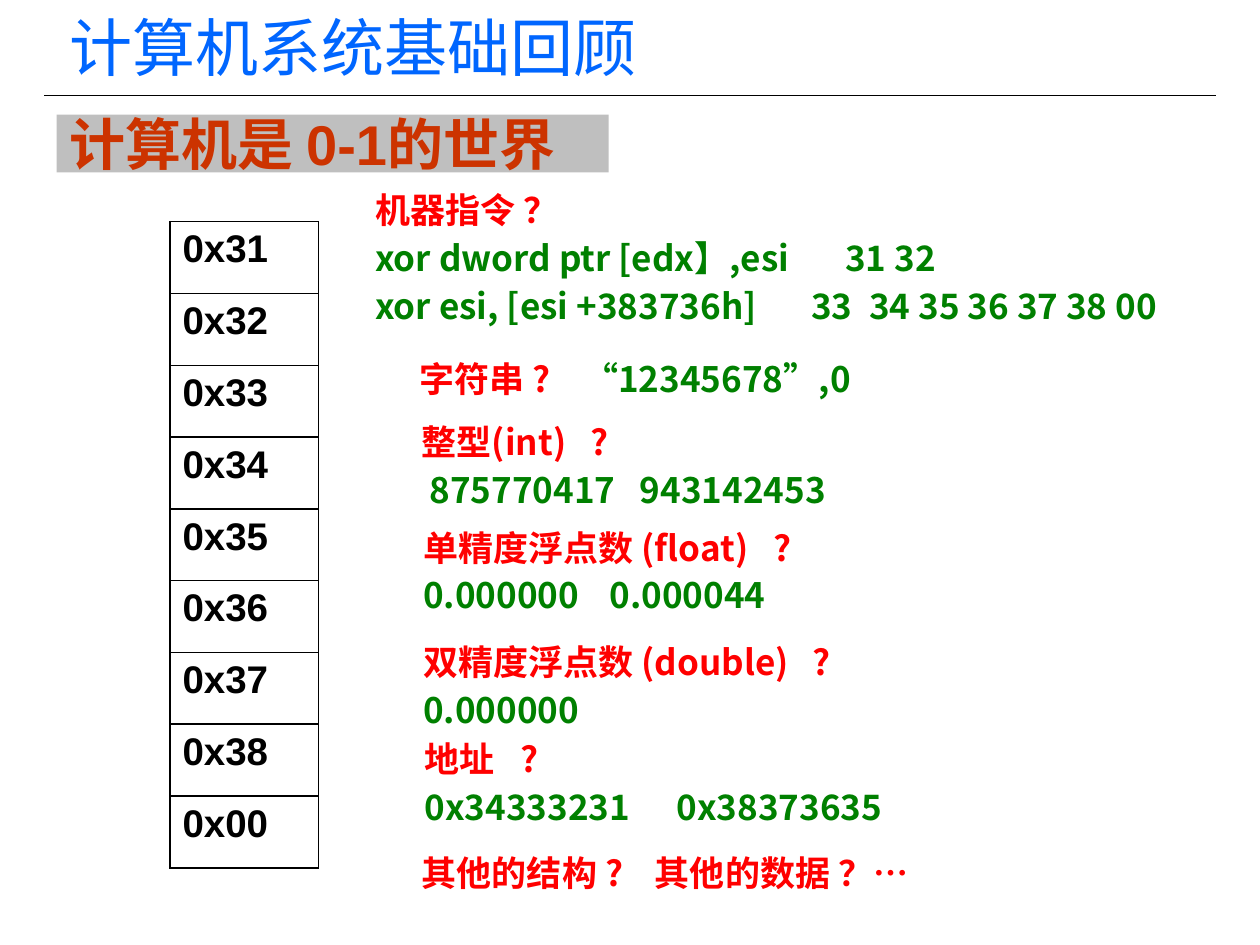
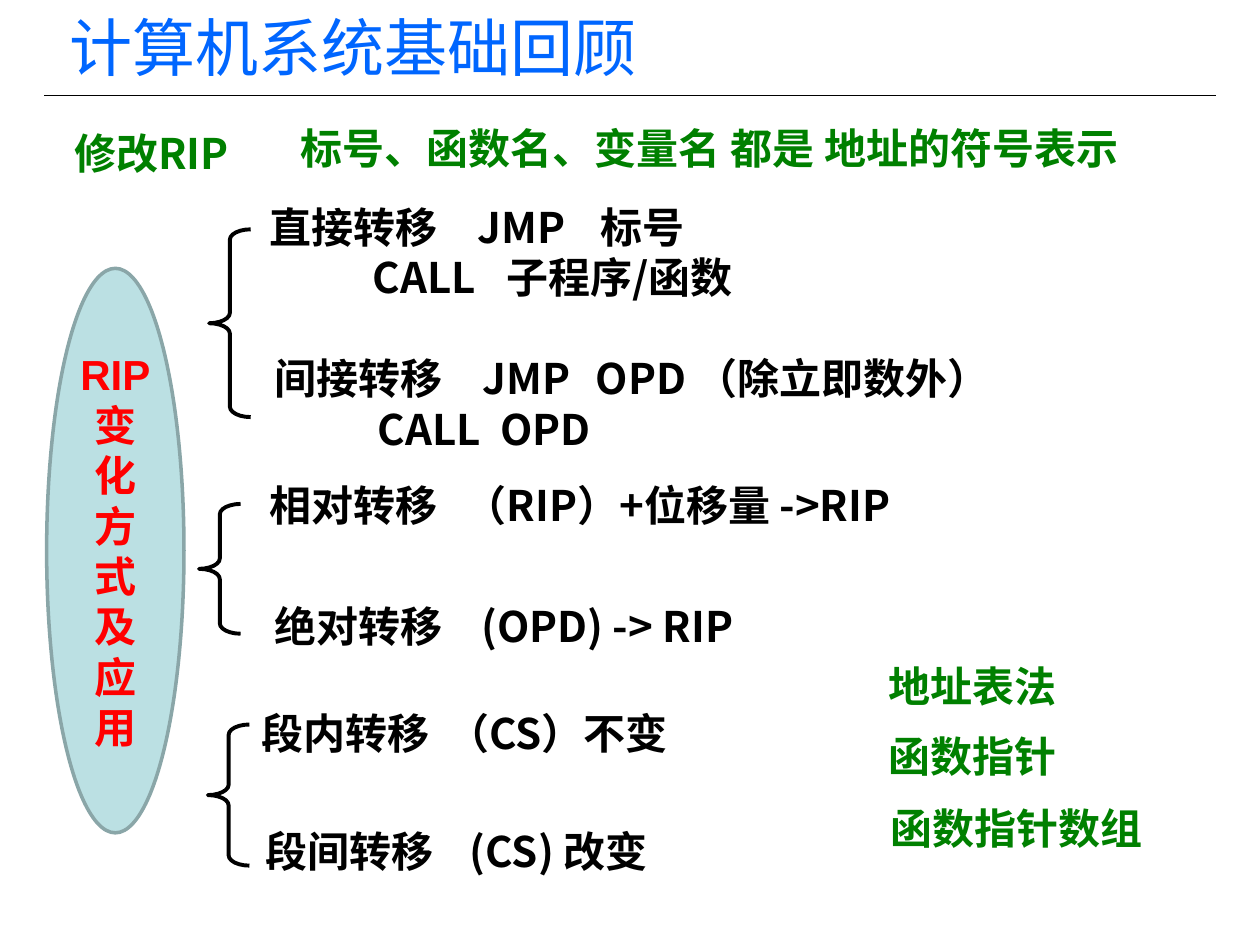
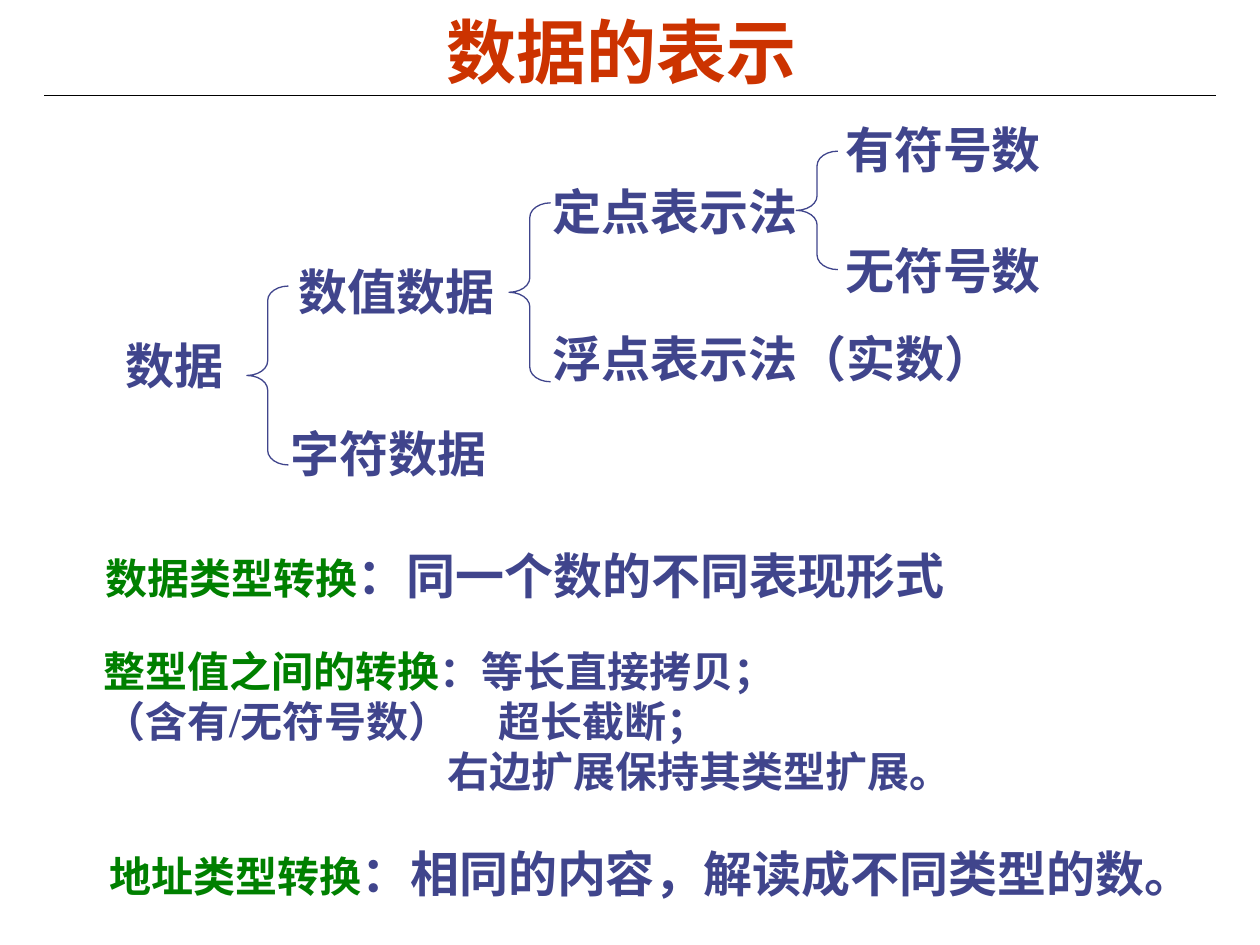
from dataclasses import dataclass
from typing import NamedTuple

from lxml import etree
from pptx import Presentation
from pptx.dml.color import RGBColor
from pptx.enum.shapes import MSO_CONNECTOR, MSO_SHAPE
from pptx.enum.text import MSO_ANCHOR, MSO_AUTO_SIZE, PP_ALIGN
from pptx.oxml.ns import qn
from pptx.util import Inches, Pt

COLORS = {
    "black": "000000",
    "white": "FFFFFF",
    "blue": "0066FF",
    "brick": "CC3300",
    "red": "FF0000",
    "green": "008000",
    "indigo": "40458C",
    "gray": "BFBFBF",
    "aqua": "BBE0E3",
    "aqua_edge": "8AA6A8",
}
SANS = "Noto Sans CJK SC"
TITLE_SANS = "Noto Sans CJK JP"
SERIF = "Times New Roman"


class Box(NamedTuple):
    left: float
    top: float
    width: float
    height: float


@dataclass(frozen=True)
class Style:
    color: str
    size: float
    font: str = SANS
    bold: bool = True


class Span(NamedTuple):
    text: str
    style: Style


@dataclass(frozen=True)
class Line:
    spans: tuple[Span, ...]
    tabs: tuple[float, ...] = ()


@dataclass(frozen=True)
class Label:
    box: Box
    lines: tuple[Line, ...]


class Brace(NamedTuple):
    box: Box
    curve: float
    color: str
    weight: float


COURSE_TITLE = Style("blue", 36, TITLE_SANS, bold=False)
TOPIC_TITLE = Style("brick", 40, "Arial")
BANNER = Style("brick", 32, "Arial")
BYTE = Style("black", 22, "Arial")
QUESTION = Style("red", 20)
ANSWER = Style("green", 20)
JUMP = Style("black", 24)
NOTE = Style("green", 24)
OVAL = Style("red", 24, "Arial")
TREE = Style("indigo", 28, SERIF)
DETAIL = Style("indigo", 24, SERIF)

COURSE_NAME = "计算机系统基础回顾"
COURSE_BOX = Box(0.45, 0.02, 5, 0.71)


def line(text: str, style: Style, *tabs: float) -> Line:
    return Line((Span(text, style),), tabs)


def rgb(name: str) -> RGBColor:
    return RGBColor.from_string(COLORS[name])


def place(shape, box: Box) -> None:
    shape.left, shape.top, shape.width, shape.height = map(Inches, box)


def write_text(frame, lines, *, align=PP_ALIGN.LEFT, anchor=MSO_ANCHOR.TOP,
               spacing=None, wrap=True, auto_size=MSO_AUTO_SIZE.NONE) -> None:
    frame.word_wrap = wrap
    frame.auto_size = auto_size
    frame.vertical_anchor = anchor
    for index, item in enumerate(lines):
        paragraph = frame.add_paragraph() if index else frame.paragraphs[0]
        add_tabs(paragraph, item.tabs)
        paragraph.alignment = align
        if spacing:
            paragraph.line_spacing = spacing
        for span in item.spans:
            add_run(paragraph, span)


def add_tabs(paragraph, positions) -> None:
    if positions:
        properties = paragraph._p.get_or_add_pPr()
        tab_list = etree.SubElement(properties, qn("a:tabLst"))
        for position in positions:
            etree.SubElement(tab_list, qn("a:tab"), pos=str(Inches(position)), algn="l")


def add_run(paragraph, span: Span) -> None:
    run = paragraph.add_run()
    run.text = span.text
    font, style = run.font, span.style
    font.size = Pt(style.size)
    font.bold = style.bold
    font.color.rgb = rgb(style.color)
    font.name = style.font
    east_asian = style.font if style.font.startswith("Noto") else SANS
    latin = run._r.get_or_add_rPr().find(qn("a:latin"))
    latin.addnext(etree.Element(qn("a:ea"), typeface=east_asian))


def add_label(slide, label: Label, *, spacing=None, wrap=True) -> None:
    text_box = slide.shapes.add_textbox(*map(Inches, label.box))
    write_text(text_box.text_frame, label.lines, spacing=spacing, wrap=wrap,
               auto_size=MSO_AUTO_SIZE.SHAPE_TO_FIT_TEXT)


def add_shape(slide, kind, box: Box, *, fill=None, outline=None, weight=1.0):
    shape = slide.shapes.add_shape(kind, *map(Inches, box))
    shape.shadow.inherit = False
    if fill:
        shape.fill.solid()
        shape.fill.fore_color.rgb = rgb(fill)
    else:
        shape.fill.background()
    if outline:
        shape.line.color.rgb = rgb(outline)
        shape.line.width = Pt(weight)
    else:
        shape.line.fill.background()
    return shape


def add_brace(slide, brace: Brace) -> None:
    shape = add_shape(slide, MSO_SHAPE.LEFT_BRACE, brace.box,
                      outline=brace.color, weight=brace.weight)
    shape.adjustments[0] = brace.curve
    shape.adjustments[1] = 0.5


def add_slide(presentation, title: str, style: Style, box: Box, **text_format):
    slide = presentation.slides.add_slide(presentation.slide_layouts[5])
    place(slide.shapes.title, box)
    write_text(slide.shapes.title.text_frame, [line(title, style)], **text_format)
    return slide


def move_rule_to_layout(slide) -> None:
    """Draw the line under the title once, on the layout shared by all slides."""
    rule = slide.shapes.add_connector(
        MSO_CONNECTOR.STRAIGHT, Inches(0.35), Inches(0.76), Inches(9.65), Inches(0.76))
    rule.line.color.rgb = rgb("black")
    rule.line.width = Pt(0.75)
    etree.SubElement(rule.element.spPr, qn("a:effectLst"))
    rule.element.nvCxnSpPr.cNvPr.set("id", "100")
    slide.slide_layout.shapes.element.append(rule.element)


def set_borders(cell, *sides: str) -> None:
    properties = cell._tc.get_or_add_tcPr()
    for index, side in enumerate(sides):
        border = etree.Element(qn(f"a:ln{side}"), w=str(Pt(1)))
        fill = etree.SubElement(border, qn("a:solidFill"))
        etree.SubElement(fill, qn("a:srgbClr"), val=COLORS["black"])
        properties.insert(index, border)


def add_memory_table(slide) -> None:
    values = [f"0x{number}" for number in range(31, 39)] + ["0x00"]
    row_height = 0.57
    frame = slide.shapes.add_table(
        len(values), 2, Inches(0.51), Inches(1.76), Inches(2.02),
        Inches(row_height * len(values)))
    table = frame.table
    table.first_row = table.horz_banding = False
    table.columns[0].width, table.columns[1].width = Inches(0.84), Inches(1.18)
    for row, value in enumerate(values):
        table.rows[row].height = Inches(row_height)
        margin_cell, byte_cell = table.cell(row, 0), table.cell(row, 1)
        for cell in (margin_cell, byte_cell):
            cell.fill.solid()
            cell.fill.fore_color.rgb = rgb("white")
        set_borders(margin_cell, "R")
        set_borders(byte_cell, "L", "R", "T", "B")
        write_text(byte_cell.text_frame, [line(value, BYTE)])


def build_memory_slide(presentation) -> None:
    slide = add_slide(presentation, COURSE_NAME, COURSE_TITLE, COURSE_BOX)
    move_rule_to_layout(slide)
    banner = add_shape(slide, MSO_SHAPE.RECTANGLE, Box(0.45, 0.91, 4.38, 0.46), fill="gray")
    write_text(banner.text_frame, [line("计算机是 0-1的世界", BANNER)],
               anchor=MSO_ANCHOR.MIDDLE)
    add_memory_table(slide)
    readings = [
        Label(Box(2.88, 1.4, 7.05, 1.22), (
            line("机器指令\t？", QUESTION, 1.18),
            line("xor dword ptr [edx】,esi\t31 32", ANSWER, 3.73),
            line("xor esi, [esi +383736h]\t33\t34 35 36 37 38 00", ANSWER, 3.46, 3.92))),
        Label(Box(3.23, 2.74, 4.72, 0.46), (
            Line((Span("字符串 ?", QUESTION), Span("\t“12345678”,0", ANSWER)), (1.3,)),)),
        Label(Box(3.25, 3.24, 4.87, 0.84), (
            line("整型(int)\t?", QUESTION, 1.34),
            line("\t875770417\t943142453", ANSWER, 0.06, 1.73))),
        Label(Box(3.26, 4.08, 4.87, 0.84), (
            line("单精度浮点数 (float)\t?", QUESTION, 2.78),
            line("0.000000\t0.000044", ANSWER, 1.48))),
        Label(Box(3.26, 4.99, 4.87, 0.84), (
            line("双精度浮点数 (double)\t?", QUESTION, 3.09),
            line("0.000000", ANSWER))),
        Label(Box(3.25, 6.66, 4.7, 0.46), (
            line("其他的结构 ?\t其他的数据 ？…", QUESTION, 1.85),)),
        Label(Box(3.27, 5.76, 4.87, 0.84), (
            line("地址\t?", QUESTION, 0.76),
            line("0x34333231\t0x38373635", ANSWER, 2.0))),
    ]
    for reading in readings:
        add_label(slide, reading, spacing=1.14)


def build_jump_slide(presentation) -> None:
    slide = add_slide(presentation, COURSE_NAME, COURSE_TITLE, COURSE_BOX)
    for left, top, height in ((1.66, 1.82, 1.49), (1.58, 4, 1.03), (1.65, 5.75, 1.12)):
        add_brace(slide, Brace(Box(left, top, 0.33, height), 0.25, "black", 2.25))
    jumps = [
        Label(Box(2.04, 1.55, 6.11, 0.91), (
            line("直接转移\tJMP\t标号", JUMP, 1.65, 2.63),
            line("\tCALL\t子程序/函数", JUMP, 0.82, 1.88))),
        Label(Box(2.08, 2.75, 6.51, 0.91), (
            line("间接转移\tJMP\tOPD （除立即数外）", JUMP, 1.65, 2.55),
            line("\tCALL\tOPD", JUMP, 0.82, 1.79))),
        Label(Box(2.04, 3.76, 7.15, 0.5), (
            line("相对转移\t（RIP）+位移量 ->RIP", JUMP, 1.55),)),
        Label(Box(2.08, 4.72, 4.28, 0.5), (line("绝对转移\t(OPD) -> RIP", JUMP, 1.64),)),
        Label(Box(1.98, 5.57, 4.21, 0.5), (line("段内转移\t（CS）不变", JUMP, 1.47),)),
        Label(Box(2.01, 6.5, 4.28, 0.5), (line("段间转移\t(CS) 改变", JUMP, 1.62),)),
        Label(Box(0.49, 0.96, 1.57, 0.5), (line("修改RIP", NOTE),)),
        Label(Box(2.29, 0.92, 7.09, 0.5), (
            line("标号、函数名、变量名 都是 地址的符号表示", NOTE),)),
    ]
    for jump in jumps:
        add_label(slide, jump)
    applications = [
        Label(Box(6.95, 4.99, 1.94, 0.64), (line("地址表法", NOTE),)),
        Label(Box(6.95, 5.55, 1.94, 0.64), (line("函数指针", NOTE),)),
        Label(Box(6.97, 6.12, 2.31, 0.64), (line("函数指针数组", NOTE),)),
    ]
    for application in applications:
        add_label(slide, application, spacing=1.5)
    oval = add_shape(slide, MSO_SHAPE.OVAL, Box(0.37, 2.13, 1.09, 4.48),
                     fill="aqua", outline="aqua_edge", weight=2)
    write_text(oval.text_frame, [line("RIP变化方式及应用", OVAL)],
               align=PP_ALIGN.CENTER, anchor=MSO_ANCHOR.MIDDLE)


def build_data_slide(presentation) -> None:
    slide = add_slide(presentation, "数据的表示", TOPIC_TITLE, Box(0.43, 0.17, 9, 0.46),
                      align=PP_ALIGN.CENTER, anchor=MSO_ANCHOR.MIDDLE)
    tree = [
        ("数据", 0.9, 2.61, 0.98),
        ("数值数据", 2.27, 2.03, 1.76),
        ("字符数据", 2.21, 3.31, 1.76),
        ("定点表示法", 4.29, 1.39, 2.15),
        ("浮点表示法（实数）", 4.29, 2.56, 3.7),
        ("有符号数", 6.61, 0.9, 1.77),
        ("无符号数", 6.61, 1.86, 1.77),
    ]
    for text, left, top, width in tree:
        add_label(slide, Label(Box(left, top, width, 0.57), (line(text, TREE),)), wrap=False)
    for left, top, height in ((1.96, 2.27, 1.42), (4.04, 1.61, 1.42), (6.32, 1.2, 0.94)):
        add_brace(slide, Brace(Box(left, top, 0.33, height), 0.35, "indigo", 0.75))
    conversions = [
        (Box(0.74, 4.05, 6.93, 0.74), "数据类型转换", "：同一个数的不同表现形式"),
        (Box(0.77, 6.41, 8.84, 0.74), "地址类型转换", "：相同的内容，解读成不同类型的数。"),
    ]
    for box, term, meaning in conversions:
        spans = (Span(term, NOTE), Span(meaning, TREE))
        add_label(slide, Label(box, (Line(spans),)), spacing=1.5, wrap=False)
    add_label(slide, Label(Box(0.72, 5.07, 8.47, 1.31), (
        Line((Span("整型值之间的转换", NOTE), Span("：等长直接拷贝；", DETAIL))),
        line("（含有/无符号数）\t超长截断；", DETAIL, 3.14),
        line("\t右边扩展保持其类型扩展。", DETAIL, 2.73))))


def main() -> None:
    presentation = Presentation()
    presentation.slide_width, presentation.slide_height = Inches(10), Inches(7.5)
    build_memory_slide(presentation)
    build_jump_slide(presentation)
    build_data_slide(presentation)
    presentation.save("out.pptx")


if __name__ == "__main__":
    main()
